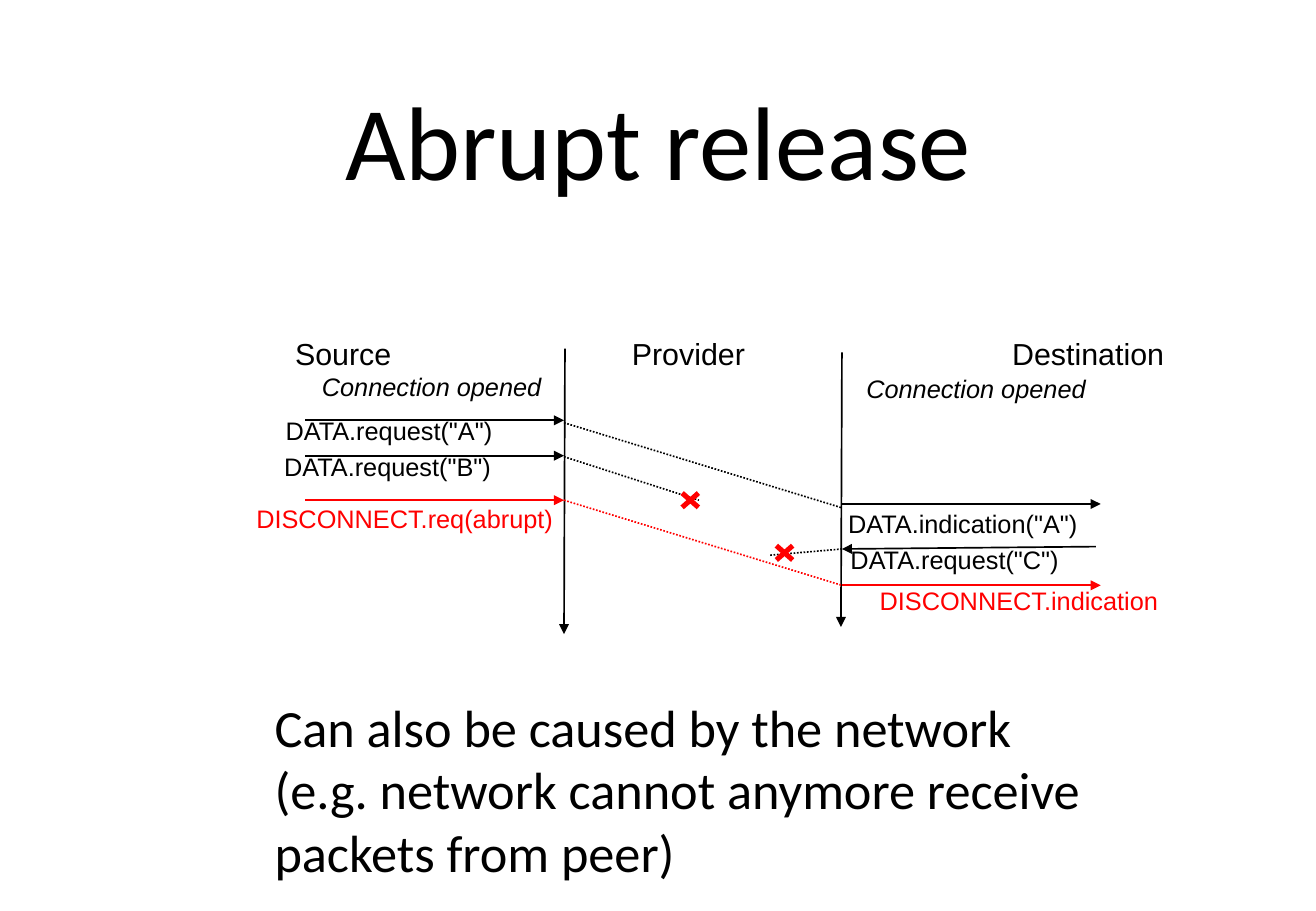
from typing import NamedTuple

from lxml.etree import SubElement
from pptx import Presentation
from pptx.dml.color import RGBColor
from pptx.enum.dml import MSO_LINE_DASH_STYLE as Dash
from pptx.enum.shapes import MSO_CONNECTOR as Connector
from pptx.enum.text import MSO_ANCHOR as Anchor
from pptx.enum.text import MSO_AUTO_SIZE as AutoSize
from pptx.enum.text import PP_ALIGN as Align
from pptx.oxml.ns import qn
from pptx.slide import Slide
from pptx.util import Cm, Pt

BLACK = "000000"
RED = "FF0000"
SOURCE_X, SOURCE_EDGE = 6.38, 11.79
DESTINATION_EDGE, DESTINATION_X = 17.6, 23.01
LOSS_HALF_WIDTH, LOSS_HALF_HEIGHT = 0.17, 0.15


class Label(NamedTuple):
    wording: str
    left: float
    top: float
    width: float
    height: float = 0.56
    size: float = 15
    color: str = BLACK
    italic: bool = False
    font: str = "Arial"
    spacing: float = 0.84
    inset: tuple[float, float] = (0, 0)
    align: Align = Align.LEFT
    anchor: Anchor = Anchor.TOP
    fits_text: bool = True


class Message(NamedTuple):
    start: tuple[float, float]
    end: tuple[float, float]
    color: str = BLACK
    weight: float = 1
    arrow: bool = True
    dotted: bool = False


TITLE = Label("Abrupt release", 2.69, 0.51, 22.15, 4.78, 62, font="Calibri", spacing=1,
              inset=(0.1, 0.1), align=Align.CENTER, anchor=Anchor.MIDDLE, fits_text=False)
REMARK = Label("Can also be caused by the network\n(e.g. network cannot anymore receive\n"
               "packets from peer)", 5.49, 14.4, 17.42, 4.24, 31, font="Calibri", spacing=1,
               inset=(0.25, 0.13))
LABELS = [
    TITLE,
    Label("Source", 6.17, 7.14, 2.03, 0.66, 18),
    Label("Provider", 13.21, 7.14, 2.39, 0.66, 18),
    Label("Destination", 21.16, 7.14, 3.2, 0.66, 18),
    Label("Connection opened", 6.73, 7.87, 4.62, italic=True),
    Label("Connection opened", 18.11, 7.9, 4.62, italic=True),
    Label('DATA.request("A")', 5.97, 8.79, 4.37),
    Label('DATA.request("B")', 5.94, 9.53, 4.37),
    Label("DISCONNECT.req(abrupt)", 5.36, 10.62, 6.27, color=RED),
    Label('DATA.indication("A")', 17.73, 10.74, 4.85),
    Label('DATA.request("C")', 17.78, 11.48, 4.39),
    Label("DISCONNECT.indication", 18.39, 12.34, 5.87, color=RED),
    REMARK,
]
TIMELINES = [
    Message((11.81, 7.29), (SOURCE_EDGE, 13.26)),
    Message((DESTINATION_EDGE, 7.37), (17.58, 13.11)),
]
REQUESTS = [
    Message((SOURCE_X, 8.79), (SOURCE_EDGE, 8.79)),
    Message((SOURCE_X, 9.53), (SOURCE_EDGE, 9.53)),
    Message((SOURCE_X, 10.46), (SOURCE_EDGE, 10.46), RED),
    Message((22.91, 11.43), (DESTINATION_EDGE, 11.48)),
]
INDICATIONS = [
    Message((DESTINATION_EDGE, 10.54), (DESTINATION_X, 10.54)),
    Message((DESTINATION_EDGE, 12.24), (DESTINATION_X, 12.24), RED),
]
TRANSFERS = [
    Message((SOURCE_EDGE, 8.84), (DESTINATION_EDGE, 10.62), arrow=False, dotted=True),
    Message((SOURCE_EDGE, 9.55), (14.61, 10.46), arrow=False, dotted=True),
    Message((SOURCE_EDGE, 10.46), (DESTINATION_EDGE, 12.24), RED, arrow=False, dotted=True),
    Message((DESTINATION_EDGE, 11.48), (16.1, 11.61), arrow=False, dotted=True),
]
LOSSES = [(14.43, 10.46), (16.4, 11.56)]


def rgb(code: str) -> RGBColor:
    """Turn a hex string into a colour."""
    return RGBColor.from_string(code)


def draw_label(slide: Slide, label: Label) -> None:
    """Write one label on the slide."""
    box = slide.shapes.add_textbox(
        Cm(label.left), Cm(label.top), Cm(label.width), Cm(label.height))
    frame = box.text_frame
    frame.text = label.wording
    frame.word_wrap = not label.fits_text
    frame.auto_size = AutoSize.SHAPE_TO_FIT_TEXT if label.fits_text else AutoSize.NONE
    frame.vertical_anchor = label.anchor
    horizontal, vertical = label.inset
    frame.margin_left = frame.margin_right = Cm(horizontal)
    frame.margin_top = frame.margin_bottom = Cm(vertical)
    for paragraph in frame.paragraphs:
        paragraph.alignment = label.align
        paragraph.line_spacing = label.spacing
        for run in paragraph.runs:
            run.font.name = label.font
            run.font.size = Pt(label.size)
            run.font.italic = label.italic
            run.font.color.rgb = rgb(label.color)


def draw_message(slide: Slide, message: Message) -> None:
    """Draw one line, dotted or with an arrowhead where asked."""
    connector = slide.shapes.add_connector(
        Connector.STRAIGHT, *map(Cm, message.start + message.end))
    connector.line.color.rgb = rgb(message.color)
    connector.line.width = Pt(message.weight)
    if message.dotted:
        connector.line.dash_style = Dash.ROUND_DOT
    if message.arrow:
        SubElement(connector.line._get_or_add_ln(), qn("a:tailEnd"), type="triangle")
    SubElement(connector._element.spPr, qn("a:effectLst"))


def draw_loss(slide: Slide, x: float, y: float) -> None:
    """Cross out a lost message around its centre."""
    for rise in (LOSS_HALF_HEIGHT, -LOSS_HALF_HEIGHT):
        draw_message(slide, Message((x - LOSS_HALF_WIDTH, y - rise),
                                    (x + LOSS_HALF_WIDTH, y + rise), RED, 3, arrow=False))


def main() -> None:
    """Build the abrupt release slide."""
    deck = Presentation()
    deck.slide_width, deck.slide_height = Cm(27.51), Cm(19.05)
    slide = deck.slides.add_slide(deck.slide_layouts[6])
    for message in TIMELINES + REQUESTS + INDICATIONS + TRANSFERS:
        draw_message(slide, message)
    for x, y in LOSSES:
        draw_loss(slide, x, y)
    for label in LABELS:
        draw_label(slide, label)
    deck.save("out.pptx")


if __name__ == "__main__":
    main()
